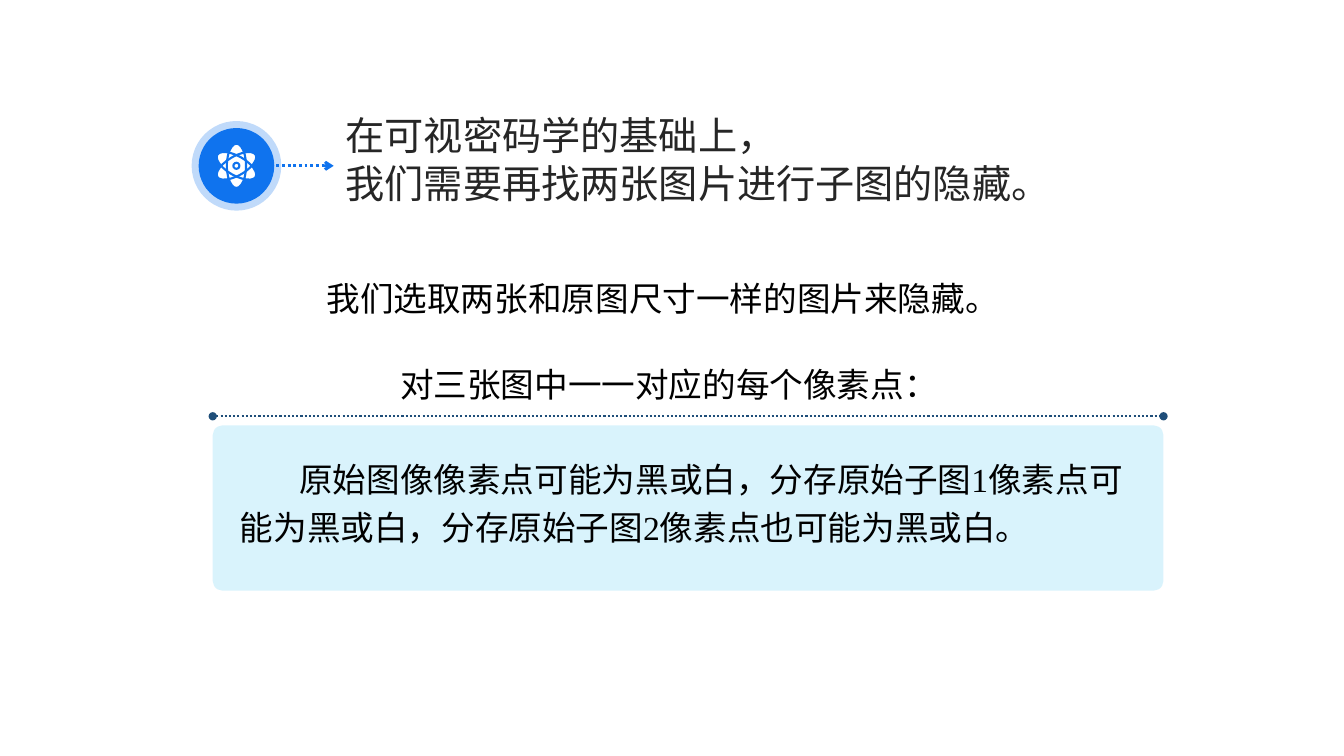
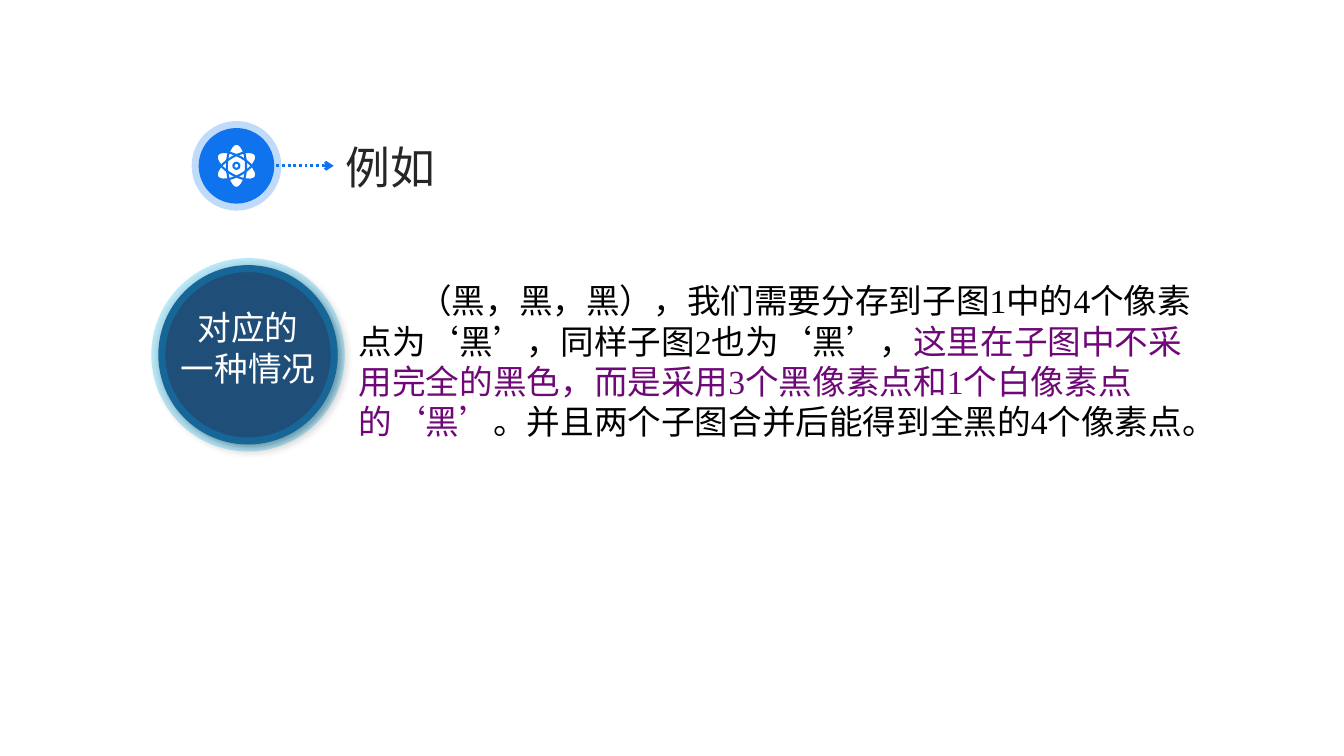
from lxml import etree
from pptx import Presentation
from pptx.dml.color import RGBColor
from pptx.enum import dml, shapes, text
from pptx.oxml import ns
from pptx.util import Inches, Pt

BRIGHT_BLUE = RGBColor(0x0F, 0x73, 0xEE)
NAVY = RGBColor(0x1F, 0x4E, 0x79)
CYAN = RGBColor(0x00, 0xB0, 0xF0)
PURPLE = RGBColor(0x6E, 0x08, 0x76)
DARK_GREY = RGBColor(0x26, 0x26, 0x26)
BLACK = RGBColor(0x00, 0x00, 0x00)
WHITE = RGBColor(0xFF, 0xFF, 0xFF)
SANS = "Noto Sans CJK SC"
SERIF = "Times New Roman"
FIRST_LINE_INDENT = 0.59


def add_child(parent, tag, **attributes):
    child = etree.SubElement(parent, ns.qn(tag))
    for name, value in attributes.items():
        child.set(name, str(value))
    return child


def set_opacity(solid_fill, percent):
    add_child(solid_fill[0], "a:alpha", val=percent * 1000)


def add_preset(slide, kind, box, fill=None, line=None, line_width=1):
    shape = slide.shapes.add_shape(kind, *map(Inches, box))
    shape.shadow.inherit = False
    if fill is None:
        shape.fill.background()
    else:
        shape.fill.solid()
        shape.fill.fore_color.rgb = fill
    if line is None:
        shape.line.fill.background()
    else:
        shape.line.color.rgb = line
        shape.line.width = Pt(line_width)
    return shape


def add_halo_circle(slide, box, fill, halo):
    """Add a disc with a wide translucent outline."""
    circle = add_preset(slide, shapes.MSO_SHAPE.OVAL, box, fill, halo, 10)
    set_opacity(circle._element.spPr.find(ns.qn("a:ln")).find(ns.qn("a:solidFill")), 25)
    return circle


def add_dotted_line(slide, left, right, y, color, width, head="none", tail="none"):
    line = slide.shapes.add_connector(
        shapes.MSO_CONNECTOR.STRAIGHT, Inches(left), Inches(y), Inches(right), Inches(y))
    line.line.color.rgb = color
    line.line.width = Pt(width)
    line.line.dash_style = dml.MSO_LINE.ROUND_DOT
    properties = line._element.spPr
    outline = properties.find(ns.qn("a:ln"))
    add_child(outline, "a:headEnd", type=head)
    add_child(outline, "a:tailEnd", type=tail)
    add_child(properties, "a:effectLst")


def add_text(slide, box, paragraphs, size, color, font=SANS, align=None,
             spacing=None, indent=0):
    """Add paragraphs, each a list of (wording, own colour or None)."""
    frame = slide.shapes.add_textbox(*map(Inches, box)).text_frame
    frame.word_wrap = True
    for index, runs in enumerate(paragraphs):
        paragraph = frame.add_paragraph() if index else frame.paragraphs[0]
        if indent:
            paragraph._p.get_or_add_pPr().set("indent", str(Inches(indent)))
        paragraph.alignment = align
        paragraph.line_spacing = spacing
        paragraph.font.name = font
        paragraph.font.size = Pt(size)
        paragraph.font.color.rgb = color
        for wording, own_color in runs:
            run = paragraph.add_run()
            run.text = wording
            if own_color is not None:
                run.font.color.rgb = own_color


def plain(*lines):
    return [[(line, None)] for line in lines]


def add_atom_icon(slide, center_x, center_y):
    oval = shapes.MSO_SHAPE.OVAL

    def centered(width, height):
        return center_x - width / 2, center_y - height / 2, width, height

    orbit_styles = [dict(fill=WHITE), dict(line=BRIGHT_BLUE, line_width=1.5)]
    for style in orbit_styles:
        for angle in (0, 60, 120):
            orbit = add_preset(slide, oval, centered(0.19, 0.44), **style)
            orbit.rotation = angle
    add_preset(slide, oval, centered(0.06, 0.06), WHITE, BRIGHT_BLUE, 1.5)


def add_heading(slide, box, lines, size):
    """Add the atom badge, its arrow and the heading text in the given box."""
    left, top, diameter = 1.97, 1.27, 0.75
    center_y = top + diameter / 2
    add_halo_circle(slide, (left, top, diameter, diameter), BRIGHT_BLUE, BRIGHT_BLUE)
    add_dotted_line(slide, 2.63, 3.31, center_y, BRIGHT_BLUE, 2, tail="arrow")
    add_atom_icon(slide, left + diameter / 2, center_y)
    add_text(slide, box, plain(*lines), size, DARK_GREY)


def add_pixel_panel(slide, left, top, width, height, wording):
    """Add a dotted rule with a tinted text panel below it."""
    add_dotted_line(slide, left, left + width, top, NAVY, 1.5, "oval", "oval")
    panel = add_preset(slide, shapes.MSO_SHAPE.ROUNDED_RECTANGLE,
                       (left, top + 0.09, width, height - 0.09), CYAN)
    panel.adjustments[0] = 0.06
    set_opacity(panel._element.spPr.find(ns.qn("a:solidFill")), 15)
    add_text(slide, (left + 0.17, top + 0.29, width - 0.34, 1.07), plain(wording),
             24, BLACK, SERIF, spacing=1.2, indent=FIRST_LINE_INDENT)


def add_case_badge(slide, left, top, diameter, lines):
    badge = add_halo_circle(slide, (left, top, diameter, diameter), NAVY, CYAN)
    effects = badge._element.spPr.find(ns.qn("a:effectLst"))
    shadow = add_child(effects, "a:outerShdw", blurRad=Pt(4), dist=Pt(3),
                       dir=45 * 60000, algn="tl", rotWithShape=0)
    add_child(add_child(shadow, "a:srgbClr", val=BLACK), "a:alpha", val=40000)
    add_text(slide, (left - 0.05, top + 0.37, diameter + 0.1, 1.1), plain(*lines),
             24, WHITE, align=text.PP_ALIGN.CENTER)


def build_hiding_slide(slide):
    add_heading(slide, (3.33, 1.06, 8.05, 1.04),
                ["在可视密码学的基础上，", "我们需要再找两张图片进行子图的隐藏。"], 28)
    add_text(slide, (3.14, 2.51, 7.19, 0.64),
             plain("我们选取两张和原图尺寸一样的图片来隐藏。"), 24, BLACK, spacing=1.5)
    add_text(slide, (3.87, 3.56, 5.8, 0.5),
             plain("对三张图中一一对应的每个像素点："), 24, BLACK)
    add_pixel_panel(slide, 2.11, 4.13, 9.43, 1.73,
                    "原始图像像素点可能为黑或白，分存原始子图1像素点可能为黑或白，"
                    "分存原始子图2像素点也可能为黑或白。")


def build_example_slide(slide):
    add_heading(slide, (3.33, 1.34, 1.23, 0.64), ["例如"], 32)
    explanation = [
        ("（黑，黑，黑），我们需要分存到子图1中的4个像素点为‘黑’，同样子图2也为‘黑’，", None),
        ("这里在子图中不采用完全的黑色，而是采用3个黑像素点和1个白像素点的‘黑’", PURPLE),
        ("。并且两个子图合并后能得到全黑的4个像素点。", None),
    ]
    add_text(slide, (3.46, 2.73, 8.61, 1.72), [explanation], 24, BLACK, SERIF,
             indent=FIRST_LINE_INDENT)
    add_case_badge(slide, 1.57, 2.63, 1.78, ["对应的", "一种情况"])


def main():
    presentation = Presentation()
    presentation.slide_width = Inches(13.33)
    presentation.slide_height = Inches(7.5)
    blank = presentation.slide_layouts[6]
    for build in (build_hiding_slide, build_example_slide):
        build(presentation.slides.add_slide(blank))
    presentation.save("out.pptx")


if __name__ == "__main__":
    main()
